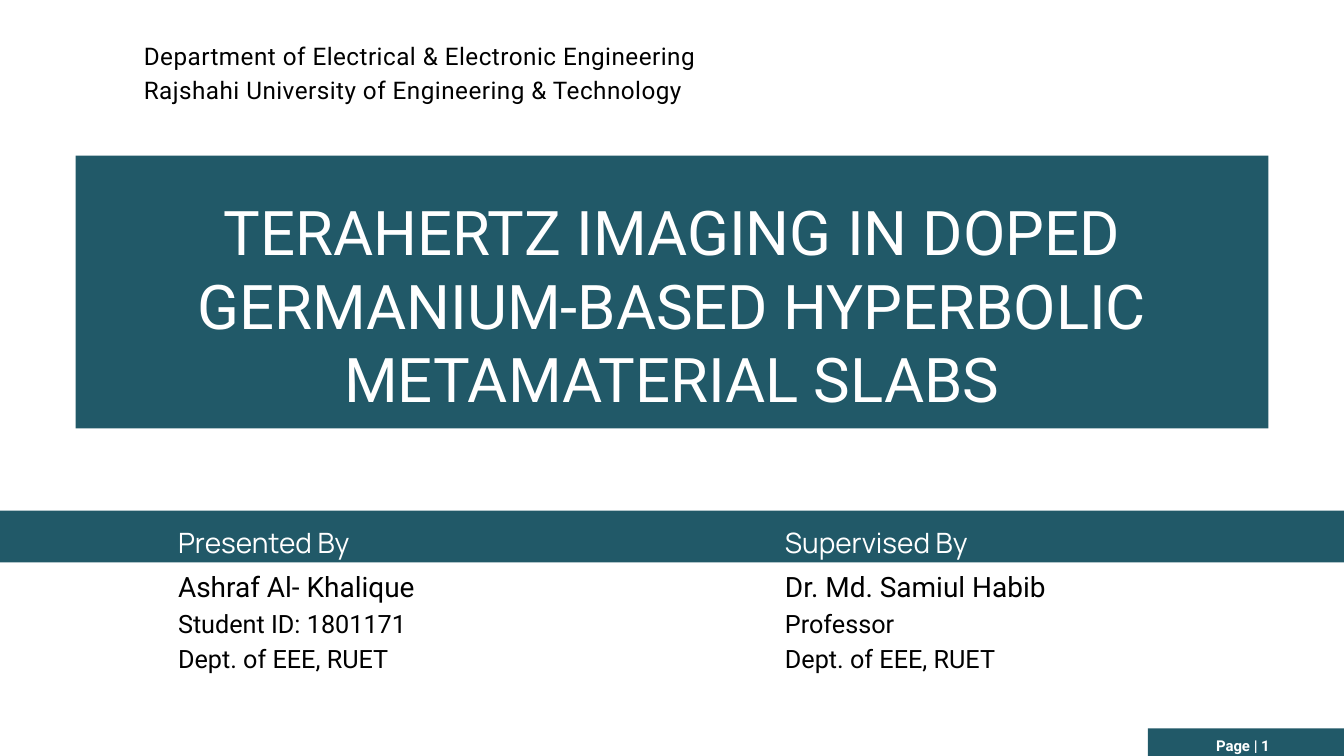
from pptx import Presentation
from pptx.dml.color import RGBColor
from pptx.enum.shapes import MSO_SHAPE
from pptx.enum.text import MSO_ANCHOR, PP_ALIGN
from pptx.util import Pt

RECTANGLE = MSO_SHAPE.RECTANGLE
LEFT, CENTER = PP_ALIGN.LEFT, PP_ALIGN.CENTER
TOP, MIDDLE = MSO_ANCHOR.TOP, MSO_ANCHOR.MIDDLE

TEAL = RGBColor(0x21, 0x59, 0x68)
WHITE = RGBColor(0xFF, 0xFF, 0xFF)
BLACK = RGBColor(0x00, 0x00, 0x00)

SLIDE_WIDTH, SLIDE_HEIGHT = 1440, 810
LINE_FACTOR = 1.4

DEPARTMENT = [
    "Department of Electrical & Electronic Engineering",
    "Rajshahi University of Engineering & Technology",
]
TITLE = "TERAHERTZ IMAGING IN DOPED GERMANIUM-BASED HYPERBOLIC METAMATERIAL SLABS"
PEOPLE = [
    (190.8, "Presented By",
     ["Ashraf Al- Khalique", "Student ID: 1801171", "Dept. of EEE, RUET"]),
    (841, "Supervised By",
     ["Dr. Md. Samiul Habib", "Professor", "Dept. of EEE, RUET"]),
]


def add_band(slide, left, top, width, height):
    """Add a plain teal rectangle."""
    band = slide.shapes.add_shape(RECTANGLE, Pt(left), Pt(top), Pt(width), Pt(height))
    band.shadow.inherit = False
    band.fill.solid()
    band.fill.fore_color.rgb = TEAL
    band.line.fill.background()


def add_text(slide, lines, left, top, width, height, *, sizes, font="Roboto",
             color=BLACK, align=LEFT, anchor=TOP, bold=False,
             line_factor=None, letter_spacing=0):
    """Add a text box with one paragraph per line, each with its own size."""
    box = slide.shapes.add_textbox(Pt(left), Pt(top), Pt(width), Pt(height))
    frame = box.text_frame
    frame.word_wrap = True
    frame.vertical_anchor = anchor
    frame.margin_left = frame.margin_right = 0
    frame.margin_top = frame.margin_bottom = 0
    for index, (line, size) in enumerate(zip(lines, sizes)):
        paragraph = frame.add_paragraph() if index else frame.paragraphs[0]
        paragraph.alignment = align
        if line_factor:
            paragraph.line_spacing = Pt(size * line_factor)
        run = paragraph.add_run()
        run.text = line
        run.font.name = font
        run.font.size = Pt(size)
        run.font.bold = bold
        run.font.color.rgb = color
        if letter_spacing:
            run.font._element.set("spc", str(round(letter_spacing * 100)))


def add_person(slide, left, role, details):
    """Add a role on the teal strip and the person's details below it."""
    add_text(slide, [role], left, 556.6, 417.6, 41, sizes=[30],
             font="Manrope", color=WHITE, line_factor=LINE_FACTOR)
    add_text(slide, details, left, 604, 417.6, 115.2, sizes=[30, 27, 27],
             line_factor=LINE_FACTOR)


def main():
    presentation = Presentation()
    presentation.slide_width = Pt(SLIDE_WIDTH)
    presentation.slide_height = Pt(SLIDE_HEIGHT)
    slide = presentation.slides.add_slide(presentation.slide_layouts[6])

    # Department heading
    add_text(slide, DEPARTMENT, 154.1, 38.9, 1171.4, 70.6, sizes=[26, 26],
             line_factor=LINE_FACTOR, letter_spacing=0.5)

    # Title panel
    add_band(slide, 81, 166.7, SLIDE_WIDTH - 2 * 81, 292.3)
    add_text(slide, [TITLE], 117, 207.4, SLIDE_WIDTH - 2 * 117, 239.8,
             sizes=[66], color=WHITE, align=CENTER)

    # Presenter and supervisor
    add_band(slide, 0, 547.2, SLIDE_WIDTH, 55.4)
    for left, role, details in PEOPLE:
        add_person(slide, left, role, details)

    # Page number
    add_band(slide, 1229.8, 780.5, 210.2, 29.5)
    add_text(slide, ["Page | 1"], 1247.8, 784.1, 167.8, 28.8, sizes=[16],
             color=WHITE, align=CENTER, anchor=MIDDLE, bold=True)

    presentation.save("out.pptx")


if __name__ == "__main__":
    main()
